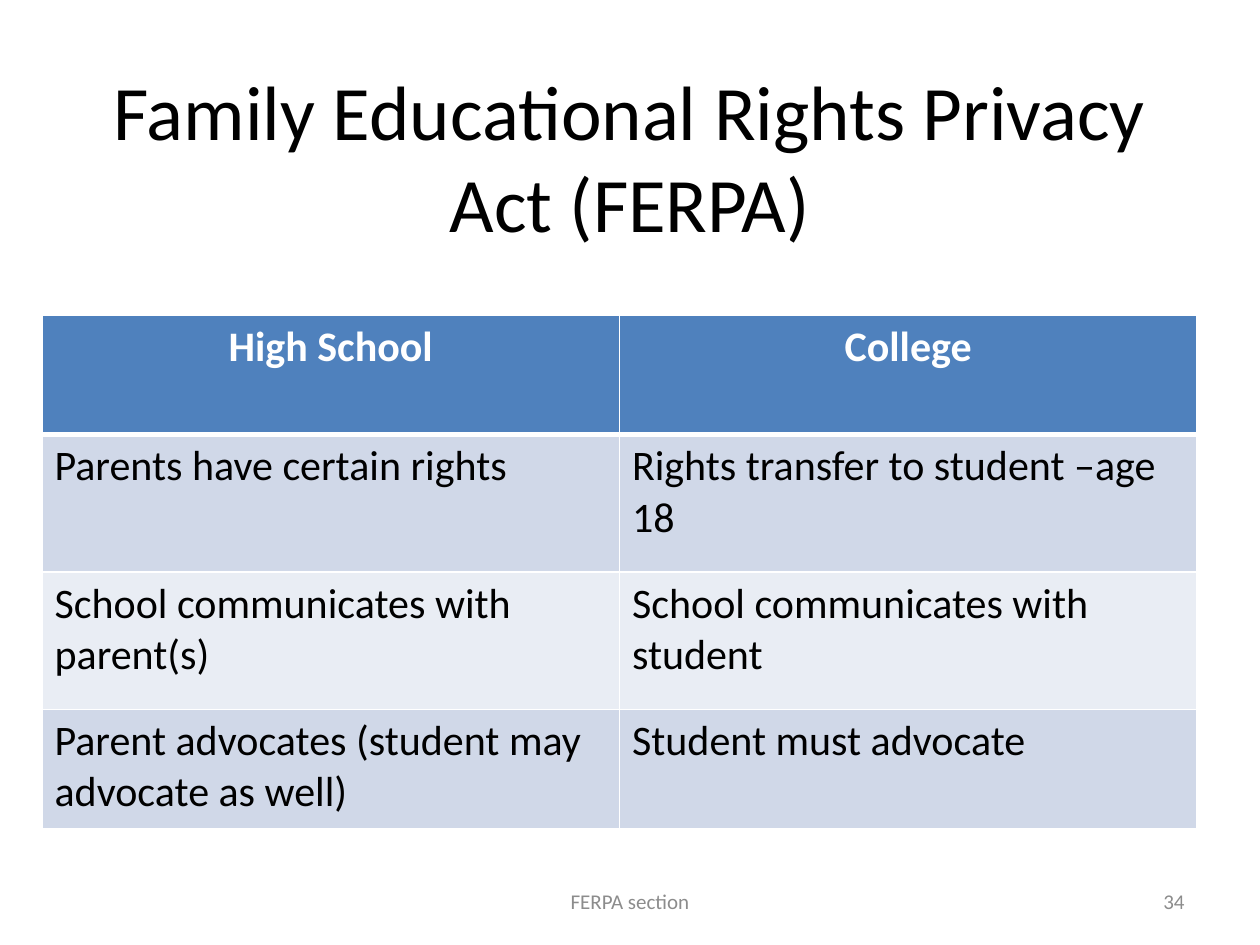
from lxml.etree import SubElement
from pptx import Presentation
from pptx.dml.color import RGBColor
from pptx.enum.text import MSO_ANCHOR as Anchor, PP_ALIGN as Align
from pptx.oxml.ns import qn
from pptx.util import Inches, Pt

COLORS = {
    "ink": "000000",
    "white": "FFFFFF",
    "header": "4F81BD",
    "odd": "D0D8E8",
    "even": "E9EDF4",
    "footer": "8C8C8C",
}
FONT = "Calibri"
WIDTH, HEIGHT = Inches(10), Inches(7.5)
COLS, ROWS = 120, 90  # grid units of a twelfth of an inch


def rgb(name):
    return RGBColor.from_string(COLORS[name])


class SlideBuilder:
    def __init__(self, deck):
        self.slide = deck.slides.add_slide(deck.slide_layouts[6])

    def place(self, col, row, cols, rows):
        """Turn grid units into left, top, width and height."""
        return (round(WIDTH * col / COLS), round(HEIGHT * row / ROWS),
                round(WIDTH * cols / COLS), round(HEIGHT * rows / ROWS))

    def set_text(self, frame, text, size, color, align, bold=False):
        frame.text = text
        paragraph = frame.paragraphs[0]
        paragraph.alignment = align
        font = paragraph.runs[0].font
        font.name, font.size, font.bold = FONT, Pt(size), bold
        font.color.rgb = rgb(color)

    def text(self, box, text, size, color, align):
        frame = self.slide.shapes.add_textbox(*self.place(*box)).text_frame
        frame.word_wrap = True
        frame.vertical_anchor = Anchor.MIDDLE
        self.set_text(frame, text, size, color, align)

    def border(self, cell, side, points):
        line = SubElement(cell._tc.get_or_add_tcPr(), qn(f"a:ln{side}"), w=str(Pt(points)))
        fill = SubElement(line, qn("a:solidFill"))
        SubElement(fill, qn("a:srgbClr"), val=COLORS["white"])

    def table(self, box, rows, heights):
        table = self.slide.shapes.add_table(
            len(rows), len(rows[0]), *self.place(*box)).table
        for r, (texts, height) in enumerate(zip(rows, heights)):
            table.rows[r].height = Inches(height)
            is_header = r == 0
            band = "header" if is_header else ("even", "odd")[r % 2]
            for c, text in enumerate(texts):
                cell = table.cell(r, c)
                self.set_text(cell.text_frame, text, 24,
                              "white" if is_header else "ink",
                              Align.CENTER if is_header else Align.LEFT, is_header)
                # Borders come before the fill; the rule under the header is heavier
                for side, points in (("L", 1), ("R", 1),
                                     ("T", 3 if r == 1 else 1),
                                     ("B", 3 if is_header else 1)):
                    self.border(cell, side, points)
                cell.fill.solid()
                cell.fill.fore_color.rgb = rgb(band)


def main():
    deck = Presentation()
    deck.slide_width, deck.slide_height = WIDTH, HEIGHT
    page = SlideBuilder(deck)

    # Title
    page.text((6, 3.6, 108, 22.4), "Family Educational Rights Privacy Act (FERPA)",
              44, "ink", Align.CENTER)

    # Comparison of rights
    comparison = [
        ("High School", "College"),
        ("Parents have certain rights", "Rights transfer to student –age 18"),
        ("School communicates with parent(s)", "School communicates with student"),
        ("Parent advocates (student may advocate as well)", "Student must advocate"),
    ]
    page.table((4, 30, 110, 49), comparison, (0.95, 1.09, 1.09, 0.95))

    # Footer
    page.text((86, 83.4, 28, 4.8), "34", 12, "footer", Align.RIGHT)
    page.text((41, 83.4, 38, 4.8), "FERPA section", 12, "footer", Align.CENTER)

    deck.save("out.pptx")


if __name__ == "__main__":
    main()
